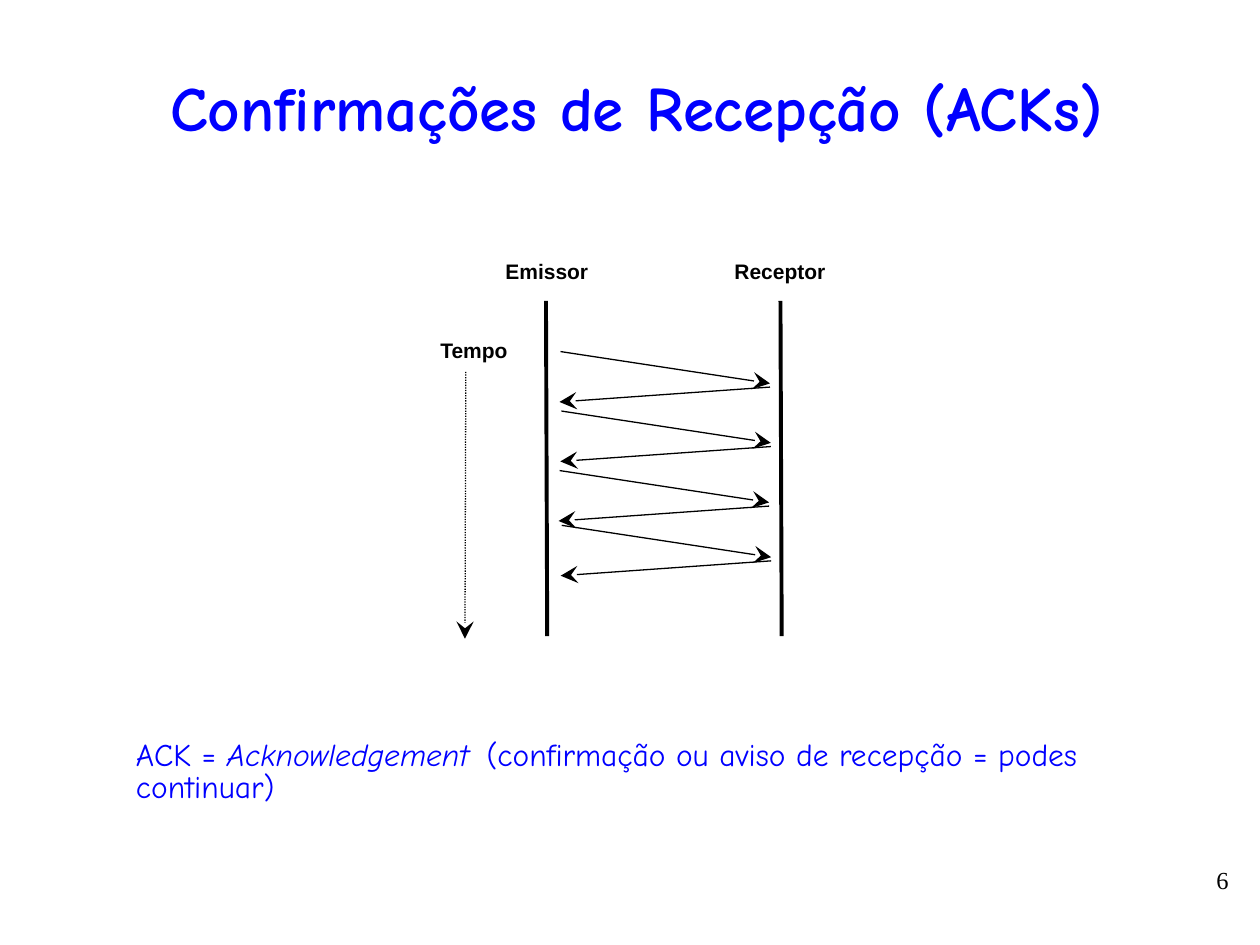
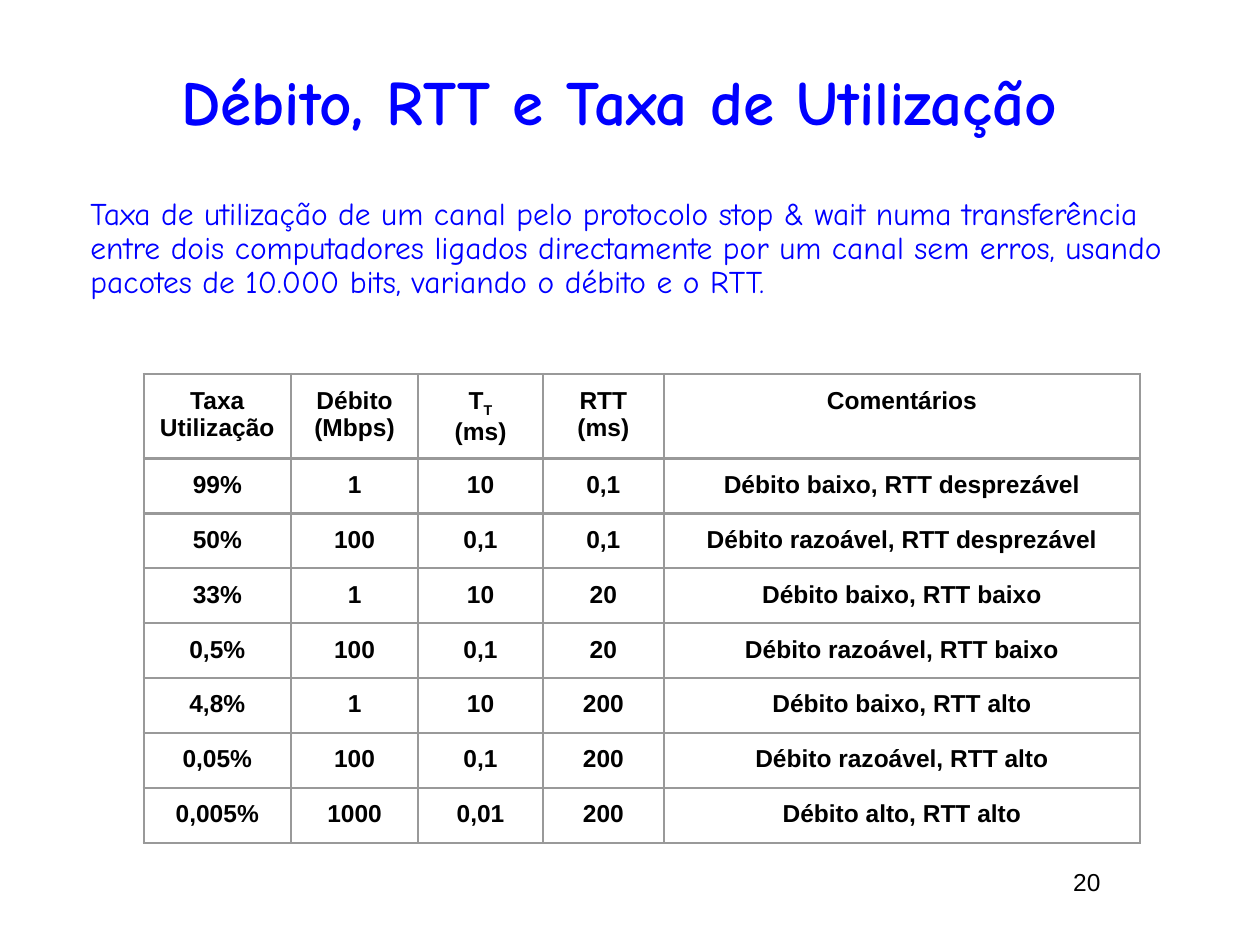
import pptx
import pptx.util
import pptx.dml.color
import pptx.enum.dml
import pptx.enum.shapes
import pptx.enum.text
import pptx.oxml.ns
import lxml.etree

Pt = pptx.util.Pt
RGBColor = pptx.dml.color.RGBColor
ALIGN = pptx.enum.text.PP_ALIGN
ANCHOR = pptx.enum.text.MSO_ANCHOR
qn = pptx.oxml.ns.qn

# Shared look
BLUE = RGBColor(0x00, 0x00, 0xFF)
BLACK = RGBColor(0x00, 0x00, 0x00)
GREY = RGBColor(0x99, 0x99, 0x99)
TITLE = {"name": "Comic Neue", "size": Pt(36), "bold": True, "color": BLUE}
BODY = {"name": "Comic Neue", "size": Pt(18), "color": BLUE}
LABEL = {"name": "Arial", "size": Pt(12), "bold": True, "color": BLACK}
CELL = {**LABEL, "size": Pt(14)}
SMALL = {"name": "Arial", "size": Pt(14), "color": BLACK}
SERIF = {**SMALL, "name": "Times New Roman"}

# Content: acknowledgements (boxes are left, top, width, height)
ACK_TITLE = "Confirmações de Recepção (ACKs)"
ACK_NOTE = [
    ("ACK = ", BODY),
    ("Acknowledgement ", {**BODY, "italic": True}),
    (" ", SMALL),
    ("(confirmação ou aviso de recepção = podes continuar)", BODY),
]
ACK_LABELS = [
    ("Emissor", (270, 138.2, 85, 34)),
    ("Receptor", (403.2, 138.2, 85, 34)),
    ("Tempo", (238.3, 183, 65, 34)),
]
SENDER_X, RECEIVER_X = 312, 446
LIFELINE_TOP, LIFELINE_BOTTOM = 172, 363.5
EXCHANGES = [(320.3, 200.9), (320.8, 234.9), (319.8, 268.9), (321, 300.2)]
SPAN, SEND_DROP, ACK_START, ACK_DROP = 119.7, 18.2, 20.3, 8.5

# Content: throughput, RTT and utilisation
RATE_TITLE = "Débito, RTT e Taxa de Utilização"
RATE_NOTE = ("Taxa de utilização de um canal pelo protocolo stop & wait numa "
             "transferência entre dois computadores ligados directamente por um "
             "canal sem erros, usando pacotes de 10.000 bits, variando o débito "
             "e o RTT.")
RATE_ROWS = [
    ("Taxa Utilização", "Débito (Mbps)", "T", "RTT (ms)", "Comentários"),
    ("99%", "1", "10", "0,1", "Débito baixo, RTT desprezável"),
    ("50%", "100", "0,1", "0,1", "Débito razoável, RTT desprezável"),
    ("33%", "1", "10", "20", "Débito baixo, RTT baixo"),
    ("0,5%", "100", "0,1", "20", "Débito razoável, RTT baixo"),
    ("4,8%", "1", "10", "200", "Débito baixo, RTT alto"),
    ("0,05%", "100", "0,1", "200", "Débito razoável, RTT alto"),
    ("0,005%", "1000", "0,01", "200", "Débito alto, RTT alto"),
]
COL_WIDTHS = [84.2, 72.7, 71.3, 69.1, 272.2]
HEAD_HEIGHT, ROW_HEIGHT = 48.2, 31.4


def add_run(p, text, fmt):
    r = p.add_run()
    r.text = text
    for key, value in fmt.items():
        if key == "color":
            r.font.color.rgb = value
        else:
            setattr(r.font, key, value)
    return r


def fill_frame(tf, runs, align=ALIGN.LEFT, anchor=ANCHOR.TOP, inset=3.6, spacing=None):
    frame_format = {
        "word_wrap": True, "auto_size": pptx.enum.text.MSO_AUTO_SIZE.NONE,
        "vertical_anchor": anchor, "margin_left": Pt(7.2), "margin_right": Pt(7.2),
        "margin_top": Pt(inset), "margin_bottom": Pt(inset),
    }
    for key, value in frame_format.items():
        setattr(tf, key, value)
    p = tf.paragraphs[0]
    p.alignment = align
    p.line_spacing = spacing
    for text, fmt in runs:
        add_run(p, text, fmt)


def add_text(slide, box, runs, **layout):
    sp = slide.shapes.add_textbox(*map(Pt, box))
    fill_frame(sp.text_frame, runs, **layout)


def add_slide(prs, title, box):
    slide = prs.slides.add_slide(prs.slide_layouts[5])
    sp = slide.shapes.title
    sp.left, sp.top, sp.width, sp.height = map(Pt, box)
    fill_frame(sp.text_frame, [(title, TITLE)], ALIGN.CENTER, ANCHOR.MIDDLE)
    return slide


def add_line(slide, x1, y1, x2, y2, width=0.75, arrow=True, dash=None):
    line = slide.shapes.add_connector(
        pptx.enum.shapes.MSO_CONNECTOR.STRAIGHT, Pt(x1), Pt(y1), Pt(x2), Pt(y2))
    line.line.width = Pt(width)
    line.line.color.rgb = BLACK
    if dash:
        line.line.dash_style = dash
    if arrow:
        ln = line.line._get_or_add_ln()
        lxml.etree.SubElement(ln, qn("a:tailEnd"), type="stealth", w="lg", len="lg")
    lxml.etree.SubElement(line._element.spPr, qn("a:effectLst"))


def set_borders(cell, color, width):
    tc_pr = cell._tc.get_or_add_tcPr()
    for i, side in enumerate(("a:lnL", "a:lnR", "a:lnT", "a:lnB")):
        ln = lxml.etree.Element(qn(side), w=str(Pt(width)))
        fill = lxml.etree.SubElement(ln, qn("a:solidFill"))
        lxml.etree.SubElement(fill, qn("a:srgbClr"), val=str(color))
        tc_pr.insert(i, ln)


def build_ack_slide(prs):
    slide = add_slide(prs, ACK_TITLE, (39.6, 15.8, 648, 90))
    add_text(slide, (70.6, 419.8, 597, 76), ACK_NOTE, spacing=0.85)
    add_text(slide, (541.4, 491, 167.8, 37.4), [("6", SERIF)], align=ALIGN.RIGHT)

    # Lifelines and time axis
    for x in (SENDER_X, RECEIVER_X):
        add_line(slide, x, LIFELINE_TOP, x + 0.7, LIFELINE_BOTTOM, 2.25, arrow=False)
    add_line(slide, 266.2, 212.5, 265.7, 365,
             dash=pptx.enum.dml.MSO_LINE.ROUND_DOT)
    for text, box in ACK_LABELS:
        add_text(slide, box, [(text, LABEL)], align=ALIGN.CENTER,
                 anchor=ANCHOR.MIDDLE, inset=7.2)

    # Each packet is followed by its acknowledgement
    for x, y in EXCHANGES:
        add_line(slide, x, y, x + SPAN, y + SEND_DROP)
        add_line(slide, x + SPAN, y + ACK_START, x - 0.6, y + ACK_START + ACK_DROP)


def build_rate_slide(prs):
    slide = add_slide(prs, RATE_TITLE, (23.8, 30.2, 660.2, 54))
    add_text(slide, (606.2, 491.8, 72, 30.2), [("20", SMALL)])
    add_text(slide, (44.6, 109.5, 643.7, 85), [(RATE_NOTE, BODY)], spacing=0.9)

    # Table
    heights = [HEAD_HEIGHT] + [ROW_HEIGHT] * (len(RATE_ROWS) - 1)
    frame = slide.shapes.add_table(
        len(RATE_ROWS), len(COL_WIDTHS), Pt(82.1), Pt(213.8),
        Pt(sum(COL_WIDTHS)), Pt(sum(heights)))
    table = frame.table
    table.first_row = table.horz_banding = False
    for column, width in zip(table.columns, COL_WIDTHS):
        column.width = Pt(width)
    for row, height, values in zip(table.rows, heights, RATE_ROWS):
        row.height = Pt(height)
        for cell, text in zip(row.cells, values):
            for side in ("left", "right", "top", "bottom"):
                setattr(cell, "margin_" + side, Pt(7.2))
            cell.fill.background()
            set_borders(cell, GREY, 1.5)
            p = cell.text_frame.paragraphs[0]
            p.alignment = ALIGN.CENTER
            add_run(p, text, CELL)

    # Transmission time heading with its subscript
    tf = table.cell(0, 2).text_frame
    r = add_run(tf.paragraphs[0], "T", CELL)
    r.font._element.set("baseline", "-25000")
    p = tf.add_paragraph()
    p.alignment = ALIGN.CENTER
    add_run(p, "(ms)", CELL)


def main():
    prs = pptx.Presentation()
    prs.slide_width, prs.slide_height = Pt(720), Pt(540)
    build_ack_slide(prs)
    build_rate_slide(prs)
    prs.save("out.pptx")


if __name__ == "__main__":
    main()
